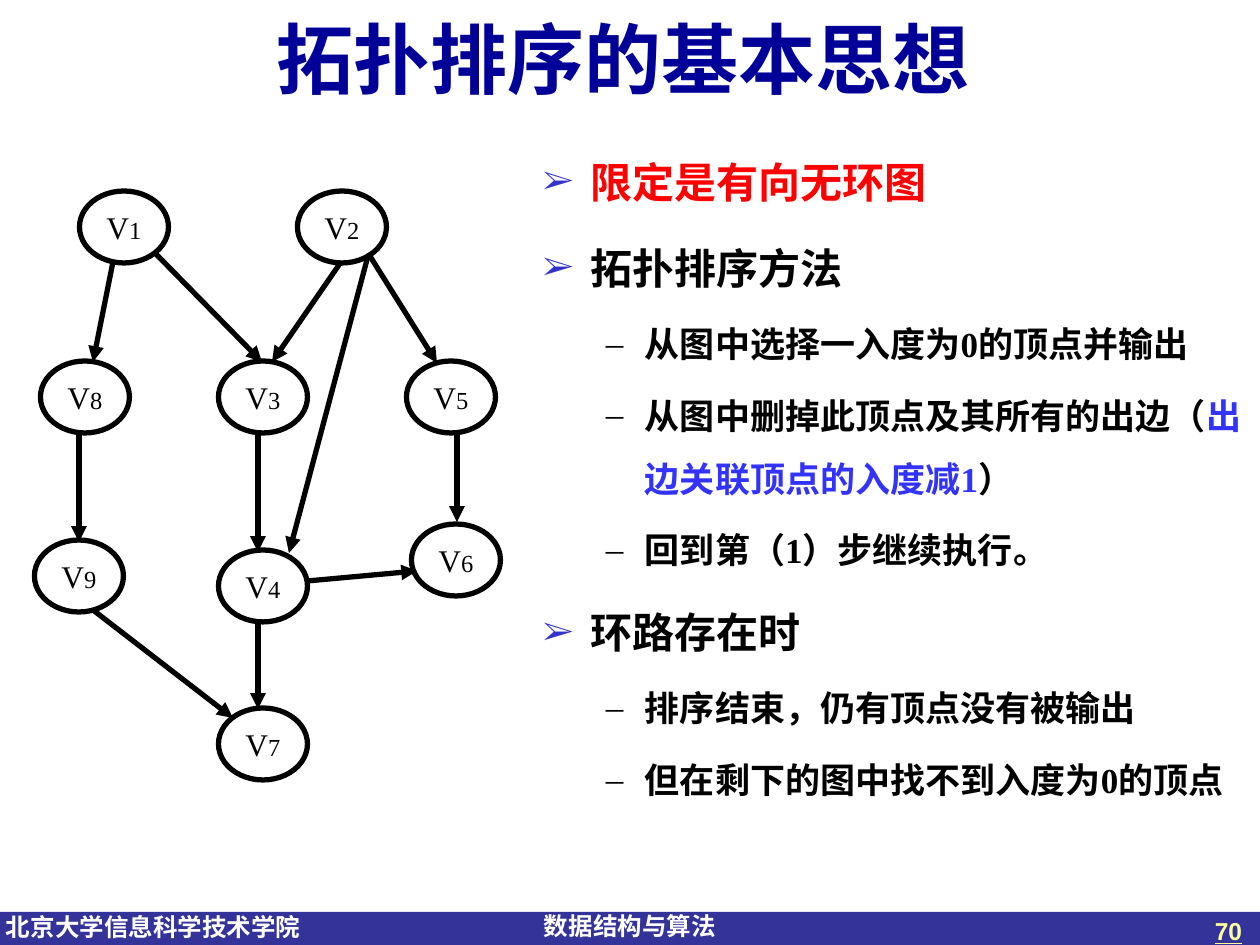
from lxml.etree import SubElement
from pptx import Presentation
from pptx.dml.color import RGBColor
from pptx.enum.shapes import MSO_CONNECTOR, MSO_SHAPE
from pptx.enum.text import MSO_ANCHOR as Anchor, PP_ALIGN as Align
from pptx.oxml.ns import qn
from pptx.util import Pt

BLACK = RGBColor(0x00, 0x00, 0x00)
WHITE = RGBColor(0xFF, 0xFF, 0xFF)
RED = RGBColor(0xFF, 0x00, 0x00)
NAVY = RGBColor(0x00, 0x00, 0x99)
BLUE = RGBColor(0x33, 0x33, 0xFF)
BAR_BLUE = RGBColor(0x33, 0x33, 0x99)
PALE_YELLOW = RGBColor(0xFF, 0xFF, 0x99)
SERIF, SANS, HAN = "Times New Roman", "Arial", "Noto Sans CJK SC"

TITLE = "拓扑排序的基本思想"
FOOTERS = [
    ("北京大学信息科学技术学院", (6, 906, 330, 43)),
    ("数据结构与算法", (544, 905, 210, 43)),
]
OUTLINE = [
    (0, [("限定是有向无环图", RED)]),
    (0, [("拓扑排序方法", BLACK)]),
    (1, [("从图中选择一入度为0的顶点并输出", BLACK)]),
    (1, [("从图中删掉此顶点及其所有的出边（", BLACK),
         ("出边关联顶点的入度减1", BLUE), ("）", BLACK)]),
    (1, [("回到第（1）步继续执行。", BLACK)]),
    (0, [("环路存在时", BLACK)]),
    (1, [("排序结束，仍有顶点没有被输出", BLACK)]),
    (1, [("但在剩下的图中找不到入度为0的顶点", BLACK)]),
]
LEVELS = [
    dict(size=24, before=6, margin=48, hang=48, bullet="➢", bullet_color="3333CC", bullet_size=80),
    dict(size=20, before=5, margin=102, hang=39, bullet="–", bullet_color="000000", bullet_size=100),
]
VERTICES = {
    "1": (124, 227), "2": (342, 227),
    "8": (85, 397), "3": (263, 397), "5": (451, 397),
    "9": (79, 576), "4": (263, 586), "6": (456, 560),
    "7": (263, 744),
}
VERTEX_W, VERTEX_H = 89, 72
EDGES = [
    ((154, 252), (262, 362)), ((341, 262), (272, 362)),
    ((368, 253), (437, 363)), ((457, 432), (457, 522)),
    ((113, 262), (93, 362)), ((79, 432), (79, 542)),
    ((258, 432), (258, 552)), ((368, 256), (289, 553)),
    ((307, 581), (417, 571)), ((93, 610), (233, 718)),
    ((258, 621), (258, 709)),
]


def px(n):
    return round(n * 914400 / 126)


def add_text(paragraph, text, size=18, color=BLACK, latin=SERIF, bold=False, underline=False):
    run = paragraph.add_run()
    run.text = text
    font = run.font
    font.size, font.bold, font.underline, font.name = Pt(size), bold, underline, latin
    font.color.rgb = color
    SubElement(font._element, qn("a:ea"), typeface=HAN)


def set_frame(frame, insets=(13, 6, 13, 6), anchor=Anchor.TOP):
    frame.margin_left, frame.margin_top, frame.margin_right, frame.margin_bottom = map(px, insets)
    frame.vertical_anchor, frame.word_wrap = anchor, True


def add_box(box, align=Align.LEFT, **frame_format):
    frame = slide.shapes.add_textbox(*map(px, box)).text_frame
    set_frame(frame, **frame_format)
    frame.paragraphs[0].alignment = align
    return frame


def add_bullet(paragraph, level):
    properties = paragraph._p.get_or_add_pPr()
    properties.set("marL", str(px(level["margin"])))
    properties.set("indent", str(-px(level["hang"])))
    color = SubElement(properties, qn("a:buClr"))
    SubElement(color, qn("a:srgbClr"), val=level["bullet_color"])
    SubElement(properties, qn("a:buSzPct"), val=str(level["bullet_size"] * 1000))
    SubElement(properties, qn("a:buFont"), typeface=SERIF)
    SubElement(properties, qn("a:buChar"), char=level["bullet"])


def add_vertex(label, center):
    x, y = center
    vertex = slide.shapes.add_shape(
        MSO_SHAPE.OVAL, px(x - VERTEX_W / 2), px(y - VERTEX_H / 2), px(VERTEX_W), px(VERTEX_H))
    vertex.shadow.inherit = False
    vertex.fill.background()
    vertex.line.color.rgb, vertex.line.width = BLACK, Pt(3)
    set_frame(vertex.text_frame, anchor=Anchor.MIDDLE)
    paragraph = vertex.text_frame.paragraphs[0]
    paragraph.alignment = Align.CENTER
    add_text(paragraph, "V")
    add_text(paragraph, label, size=14)


def add_edge(start, end):
    edge = slide.shapes.add_connector(MSO_CONNECTOR.STRAIGHT, *map(px, start + end))
    edge.line.color.rgb, edge.line.width = BLACK, Pt(3)
    SubElement(edge.line._get_or_add_ln(), qn("a:tailEnd"), type="triangle")
    SubElement(edge._element.spPr, qn("a:effectLst"))


deck = Presentation()
deck.slide_width, deck.slide_height = px(1260), px(945)
slide = deck.slides.add_slide(deck.slide_layouts[6])

footer_bar = slide.shapes.add_shape(MSO_SHAPE.RECTANGLE, *map(px, (0, 912, 1260, 35)))
footer_bar.shadow.inherit = False
footer_bar.fill.solid()
footer_bar.fill.fore_color.rgb = BAR_BLUE
footer_bar.line.fill.background()

for label, box in FOOTERS:
    footer = add_box(box, insets=(0, 6, 0, 6))
    add_text(footer.paragraphs[0], label, size=14, color=WHITE, latin=SANS, bold=True)

page_number = add_box((961, 910, 294, 66), align=Align.RIGHT)
add_text(page_number.paragraphs[0], "70", size=14, color=PALE_YELLOW, latin=SANS,
         bold=True, underline=True)

title = add_box((0, 0, 1260, 115), align=Align.CENTER, insets=(25, 6, 38, 6), anchor=Anchor.MIDDLE)
add_text(title.paragraphs[0], TITLE, size=44, color=NAVY, latin=HAN, bold=True)

outline = add_box((530, 125, 730, 764))
for index, (depth, parts) in enumerate(OUTLINE):
    level = LEVELS[depth]
    paragraph = outline.add_paragraph() if index else outline.paragraphs[0]
    add_bullet(paragraph, level)
    paragraph.level = depth
    paragraph.line_spacing = 1.5
    if index:
        paragraph.space_before = Pt(level["before"])
    for text, color in parts:
        add_text(paragraph, text, size=level["size"], color=color, bold=True)

for label, center in VERTICES.items():
    add_vertex(label, center)
for start, end in EDGES:
    add_edge(start, end)

deck.save("out.pptx")
